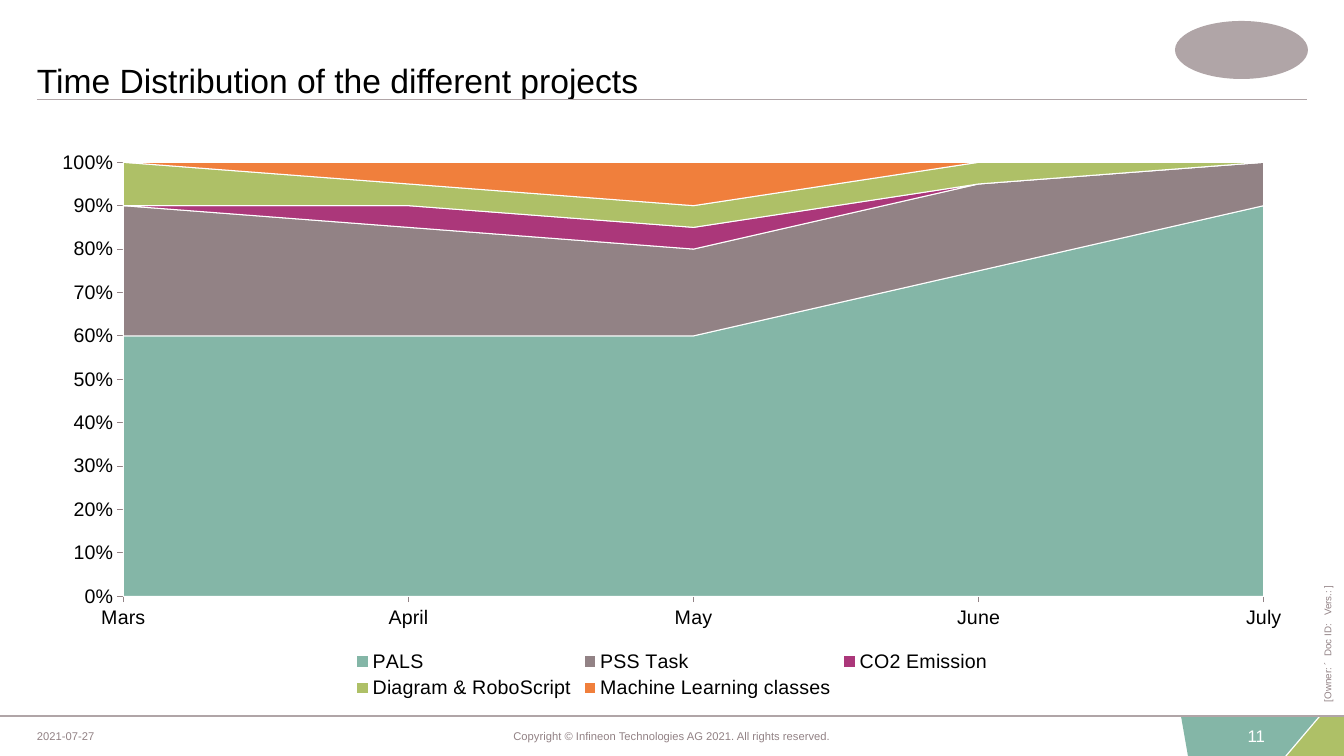
from lxml import etree
from pptx import Presentation
from pptx.chart.data import CategoryChartData
from pptx.dml.color import RGBColor
from pptx.enum import chart as charts, shapes, text
from pptx.oxml.ns import qn
from pptx.util import Pt

PX = 914400 / 100.8  # EMU per px
FONT = "Arial"
BLACK, WHITE, GREY, RULE = "000000", "FFFFFF", "928285", "B0A5A7"
TEAL, PURPLE, GREEN, ORANGE = "84B6A7", "AB377A", "AEC067", "F07F3C"
LEFT, RIGHT = 37, 1307
FOOTER_TOP, BOTTOM = 716, 756


def emu(*lengths):
    return [round(length * PX) for length in lengths]


def rgb(color):
    return RGBColor.from_string(color)


def style_font(font, size, color):
    font.name, font.size, font.bold = FONT, Pt(size), False
    font.color.rgb = rgb(color)


def style_line(line, color, width=0.75):
    line.color.rgb = rgb(color)
    line.width = Pt(width)


def write(shape, words, size, color=GREY, align=text.PP_ALIGN.LEFT,
          anchor=text.MSO_ANCHOR.MIDDLE, wrap=False, bottom=0):
    frame = shape.text_frame
    frame.margin_left = frame.margin_top = frame.margin_right = 0
    frame.margin_bottom = emu(bottom)[0]
    frame.auto_size = text.MSO_AUTO_SIZE.NONE
    frame.word_wrap, frame.vertical_anchor = wrap, anchor
    frame.text = words
    paragraph = frame.paragraphs[0]
    paragraph.alignment = align
    style_font(paragraph.runs[0].font, size, color)


class SlideBuilder:
    def __init__(self, presentation):
        self.slide = presentation.slides.add_slide(presentation.slide_layouts[5])
        self.shapes = self.slide.shapes

    def title(self, words, box):
        shape = self.shapes.title
        shape.left, shape.top, shape.width, shape.height = emu(*box)
        write(shape, words, 24, BLACK, anchor=text.MSO_ANCHOR.BOTTOM, wrap=True, bottom=1)

    def label(self, words, box, size, rotation=0, **style):
        shape = self.shapes.add_textbox(*emu(*box))
        shape.rotation = rotation
        write(shape, words, size, **style)

    def fill(self, shape, color):
        shape.shadow.inherit = False
        shape.fill.solid()
        shape.fill.fore_color.rgb = rgb(color)
        shape.line.fill.background()

    def polygon(self, points, color):
        builder = self.shapes.build_freeform(*points[0], scale=PX)
        builder.add_line_segments(points[1:], close=True)
        self.fill(builder.convert_to_shape(), color)

    def ellipse(self, box, color):
        self.fill(self.shapes.add_shape(shapes.MSO_SHAPE.OVAL, *emu(*box)), color)

    def rule(self, left, right, y):
        line = self.shapes.add_connector(shapes.MSO_CONNECTOR.STRAIGHT, *emu(left, y, right, y))
        style_line(line.line, RULE)
        etree.SubElement(line._element.spPr, qn("a:effectLst"))

    def area_chart(self, box, categories, series):
        data = CategoryChartData()
        data.categories = categories
        for name, values, _ in series:
            data.add_series(name, values)
        chart = self.shapes.add_chart(
            charts.XL_CHART_TYPE.AREA_STACKED_100, *emu(*box), data).chart
        style_font(chart.font, 14, BLACK)
        chart.has_title = False
        chart.has_legend = True
        chart.legend.position = charts.XL_LEGEND_POSITION.BOTTOM
        chart.legend.include_in_layout = False
        style_font(chart.legend.font, 14, BLACK)
        plot = chart.plots[0]
        plot.vary_by_categories = False
        for drawn, (_, _, color) in zip(plot.series, series):
            drawn.format.fill.solid()
            drawn.format.fill.fore_color.rgb = rgb(color)
            style_line(drawn.format.line, WHITE)
        for axis in (chart.category_axis, chart.value_axis):
            axis.has_major_gridlines = False
            axis.major_tick_mark = charts.XL_TICK_MARK.OUTSIDE
            axis.minor_tick_mark = charts.XL_TICK_MARK.NONE
            style_line(axis.format.line, GREY)
            style_font(axis.tick_labels.font, 14, BLACK)
        # Percent scale, with the areas starting on the value axis
        axis = chart.value_axis
        axis.minimum_scale, axis.maximum_scale, axis.major_unit = 0, 1, 0.1
        axis.tick_labels.number_format = "0%"
        axis.tick_labels.number_format_is_linked = False
        for crossing in axis._element.findall(qn("c:crossBetween")):
            crossing.set("val", "midCat")


def main():
    presentation = Presentation()
    presentation.slide_width, presentation.slide_height = emu(1344, BOTTOM)
    page = SlideBuilder(presentation)

    # Header
    page.title("Time Distribution of the different projects", (LEFT, 21, 1059, 80))
    page.rule(LEFT, RIGHT, 100)
    page.ellipse((1175, 21, 133, 58), RULE)

    # Project shares by month
    page.area_chart(
        (LEFT, 140, RIGHT - LEFT, 563),
        ("Mars", "April", "May", "June", "July"),
        [
            ("PALS", (60, 60, 60, 75, 90), TEAL),
            ("PSS Task", (30, 25, 20, 20, 10), GREY),
            ("CO2 Emission", (0, 5, 5, None, None), PURPLE),
            ("Diagram & RoboScript", (10, 5, 5, 5, None), GREEN),
            ("Machine Learning classes", (0, 5, 10, None, None), ORANGE),
        ],
    )

    # Footer
    page.polygon([(1321, FOOTER_TOP), (1344, FOOTER_TOP), (1344, BOTTOM), (1287, BOTTOM)], GREEN)
    page.polygon([(1181, FOOTER_TOP), (1319, FOOTER_TOP), (1285, BOTTOM), (1188, BOTTOM)], TEAL)
    page.rule(0, 1344, FOOTER_TOP)
    page.label("2021-07-27", (LEFT, FOOTER_TOP, 68, 39), 8)
    page.label("Copyright © Infineon Technologies AG 2021. All rights reserved.",
               (501, FOOTER_TOP, 342, 39), 8, align=text.PP_ALIGN.CENTER)
    page.label("11", (1223, FOOTER_TOP, 42, 40), 12, color=WHITE,
               align=text.PP_ALIGN.RIGHT, wrap=True)
    page.label("[Owner: ´  Doc ID:   Vers.: ]", (1185, 546, 285, 27), 7, rotation=270)

    presentation.save("out.pptx")


if __name__ == "__main__":
    main()
